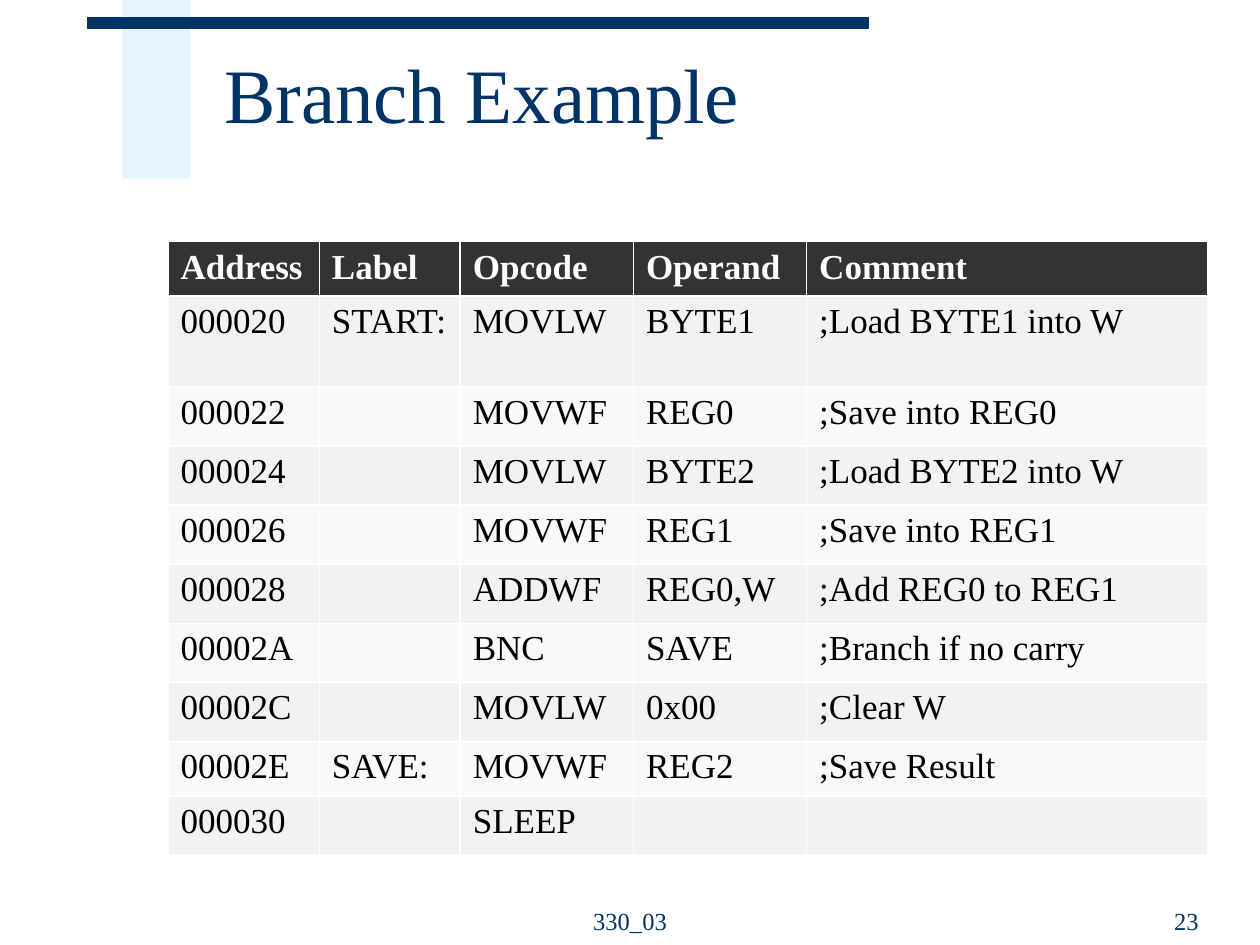
from lxml.etree import SubElement
from pptx import Presentation
from pptx.dml.color import RGBColor
from pptx.enum.shapes import MSO_SHAPE as Shape
from pptx.enum.text import MSO_ANCHOR as Anchor, PP_ALIGN as Align
from pptx.oxml.ns import qn
from pptx.util import Pt

NAVY = RGBColor(0x00, 0x33, 0x66)
SKY = RGBColor(0xCC, 0xEC, 0xFF)
WHITE = RGBColor(0xFF, 0xFF, 0xFF)
BLACK = RGBColor(0x00, 0x00, 0x00)
DARK = RGBColor(0x33, 0x33, 0x33)
BANDS = RGBColor(0xF9, 0xF9, 0xF9), RGBColor(0xF2, 0xF2, 0xF2)
FACE = "Times New Roman"

COLS = 86.5, 80.5, 99, 99, 229
FULL, TALL, GAPPED = 29.6, 52, 33.75  # row heights
ROWS = (
    ("Address", "Label", "Opcode", "Operand", "Comment"),
    ("000020", "START:", "MOVLW", "BYTE1", ";Load BYTE1 into W"),
    ("000022", "", "MOVWF", "REG0", ";Save into REG0"),
    ("000024", "", "MOVLW", "BYTE2", ";Load BYTE2 into W"),
    ("000026", "", "MOVWF", "REG1", ";Save into REG1"),
    ("000028", "", "ADDWF", "REG0,W", ";Add REG0 to REG1"),
    ("00002A", "", "BNC", "SAVE", ";Branch if no carry"),
    ("00002C", "", "MOVLW", "0x00", ";Clear W"),
    ("00002E", "SAVE:", "MOVWF", "REG2", ";Save Result"),
    ("000030", "", "SLEEP", "", ""),
)


def style(para, size, color, bold=False):
    font = para.font
    font.name, font.size, font.bold = FACE, Pt(size), bold
    font.color.rgb = color


def add_bar(slide, box, color, alpha=None):
    """Draw a filled bar; alpha is its opacity in percent."""
    bar = slide.shapes.add_shape(Shape.RECTANGLE, *map(Pt, box))
    bar.shadow.inherit = False
    bar.fill.solid()
    bar.fill.fore_color.rgb = color
    if alpha is None:
        bar.line.color.rgb = color
        bar.line.width = Pt(0.75)
    else:
        bar.line.fill.background()
        tint = bar.fill._xPr.find(qn("a:solidFill"))[0]
        SubElement(tint, qn("a:alpha"), val=str(alpha * 1000))


def add_text(slide, box, text, size, anchor, align=Align.LEFT, space=1.0):
    frame = slide.shapes.add_textbox(*map(Pt, box)).text_frame
    frame.word_wrap = True
    frame.vertical_anchor = anchor
    para = frame.paragraphs[0]
    para.text, para.alignment, para.line_spacing = text, align, space
    style(para, size, NAVY)


def add_code(slide, left, top):
    """Add the program listing as a table."""
    tall = [GAPPED if "" in row else FULL for row in ROWS]
    tall[1] = TALL
    box = left, top, sum(COLS), sum(tall)
    table = slide.shapes.add_table(len(ROWS), len(COLS), *map(Pt, box)).table
    for col, width in zip(table.columns, COLS):
        col.width = Pt(width)
    for r, row in enumerate(ROWS):
        table.rows[r].height = Pt(tall[r])
        head = r == 0
        for c, text in enumerate(row):
            cell = table.cell(r, c)
            cell.fill.solid()
            cell.fill.fore_color.rgb = DARK if head else BANDS[r % 2]
            cell.text = text
            para = cell.text_frame.paragraphs[0]
            style(para, 20, WHITE if head else BLACK, head)


def main():
    deck = Presentation()
    deck.slide_width, deck.slide_height = Pt(720), Pt(540)
    slide = deck.slides.add_slide(deck.slide_layouts[6])
    add_bar(slide, (70, 0, 39, 102), SKY, 50)
    add_bar(slide, (50, 10, 446, 6.25), NAVY)
    add_text(slide, (121, 12, 581, 90), "Branch Example", 44,
             Anchor.MIDDLE, space=0.85)
    add_code(slide, 96, 138)
    add_text(slide, (294, 502, 132, 36), "330_03", 14,
             Anchor.BOTTOM, Align.CENTER)
    add_text(slide, (519, 502, 173, 36), "23", 14,
             Anchor.BOTTOM, Align.RIGHT)
    deck.save("out.pptx")


if __name__ == "__main__":
    main()
